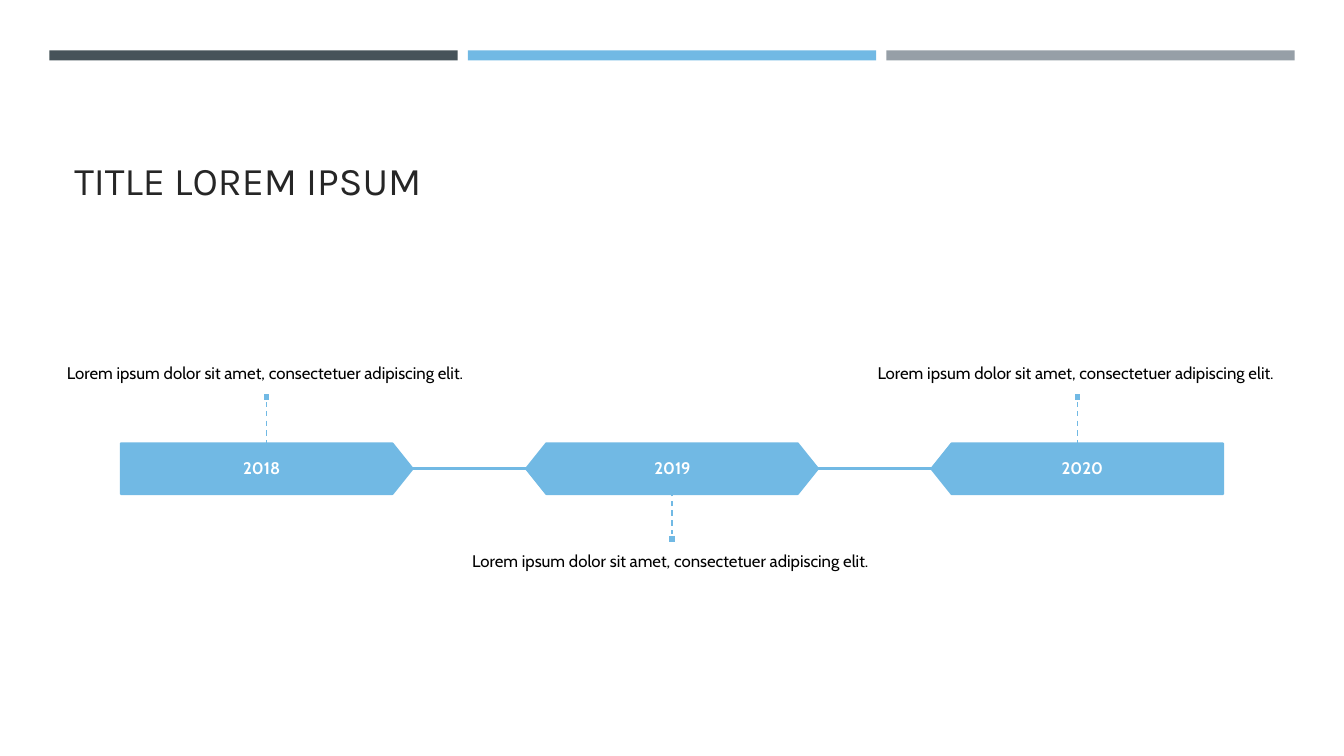
from pptx import Presentation
from pptx.dml.color import RGBColor
from pptx.enum.dml import MSO_LINE
from pptx.enum.shapes import MSO_CONNECTOR, MSO_SHAPE as Shape
from pptx.enum.text import MSO_ANCHOR as Anchor, PP_ALIGN as Align
from pptx.oxml.ns import qn
from pptx.util import Inches, Pt
from lxml import etree

HUES = {"slate": "465359", "sky": "71B9E4", "gray": "969FA7",
        "ink": "262626", "black": "000000", "white": "FFFFFF"}

deck = Presentation()
deck.slide_width, deck.slide_height = Inches(13.33), Inches(7.5)
slide = deck.slides.add_slide(deck.slide_layouts[6])
shapes = slide.shapes


def hue(name):
    return RGBColor.from_string(HUES[name])


def write(text, left, top, width, height, font="Cabin", size=12, color="black",
          bold=False, align=Align.CENTER, anchor=Anchor.MIDDLE,
          pad=(0.1, 0.1), lead=0.9):
    box = shapes.add_textbox(Inches(left), Inches(top), Inches(width), Inches(height))
    frame = box.text_frame
    frame.word_wrap = True
    frame.vertical_anchor = anchor
    frame.margin_left = frame.margin_right = Inches(pad[0])
    frame.margin_top = frame.margin_bottom = Inches(pad[1])
    para = frame.paragraphs[0]
    para.alignment = align
    para.line_spacing = lead
    run = para.add_run()
    run.text = text
    run.font.name, run.font.size, run.font.bold = font, Pt(size), bold
    run.font.color.rgb = hue(color)


def block(kind, left, top, width, height, fill, edge=None):
    item = shapes.add_shape(kind, Inches(left), Inches(top), Inches(width), Inches(height))
    item.shadow.inherit = False
    item.fill.solid()
    item.fill.fore_color.rgb = hue(fill)
    if edge:
        item.line.color.rgb = hue(edge)
        item.line.width = Pt(1.75)
    else:
        item.line.fill.background()
    return item


# Top bars
for i, name in enumerate(["slate", "sky", "gray"]):
    block(Shape.RECTANGLE, 0.49 + 4.15 * i, 0.5, 4.05, 0.1, name)

# Title
write("TITLE LOREM IPSUM", 0.64, 0.77, 12.06, 1.3, font="Karla", size=28,
      color="ink", align=Align.LEFT, anchor=Anchor.BOTTOM, pad=(0.1, 0.05), lead=1.0)

# Timeline: year, shape, rotation, label inset and width, text above the bar
STEP, WIDE, TOP, HIGH, DOT = 4.02, 2.89, 4.4, 0.5, 0.08
NOTE = "Lorem ipsum dolor sit amet, consectetuer adipiscing elit. "
YEARS = [("2018", Shape.PENTAGON, 0, 0, 2.79, True),
         ("2019", Shape.HEXAGON, 0, 0.31, 2.28, False),
         ("2020", Shape.PENTAGON, 180, 0.1, 2.79, True)]
lines = []

for i, (year, kind, turn, inset, span, above) in enumerate(YEARS):
    left = 1.2 + STEP * i
    mid = left + WIDE / 2

    # Year bar
    bar = block(kind, left, TOP, WIDE, HIGH, "sky", "sky")
    bar.adjustments[0] = 0.4
    bar.rotation = turn
    write(year, left + inset, TOP, span, HIGH, color="white", bold=True)

    # Note
    write(NOTE, 0.64 + STEP * i, 2.56 if above else 5.4, 4.02, 1.33,
          anchor=Anchor.BOTTOM if above else Anchor.TOP, pad=(0, 0.12))

    # Dashed stem with its marker
    dot_top = 3.9 if above else 5.31
    near, far = (TOP, dot_top + DOT) if above else (TOP + HIGH, dot_top)
    stem = shapes.add_connector(MSO_CONNECTOR.STRAIGHT, Inches(mid), Inches(far),
                                Inches(mid), Inches(near))
    stem.line.width = Pt(1)
    stem.line.dash_style = MSO_LINE.DASH
    dot = block(Shape.RECTANGLE, mid - DOT / 2, dot_top, DOT, DOT, "sky", "white")
    stem.begin_connect(dot, 2 if above else 0)
    lines.append(stem)

    # Link to the next year
    if i < len(YEARS) - 1:
        link = shapes.add_connector(MSO_CONNECTOR.STRAIGHT,
                                    Inches(left + WIDE), Inches(TOP + HIGH / 2),
                                    Inches(left + STEP), Inches(TOP + HIGH / 2))
        link.line.width = Pt(1.75)
        lines.append(link)

# Line colour, no shadow
for line in lines:
    line.line.color.rgb = hue("sky")
    props = line._element.find(qn("p:spPr"))
    etree.SubElement(props, qn("a:effectLst"))

deck.save("out.pptx")
